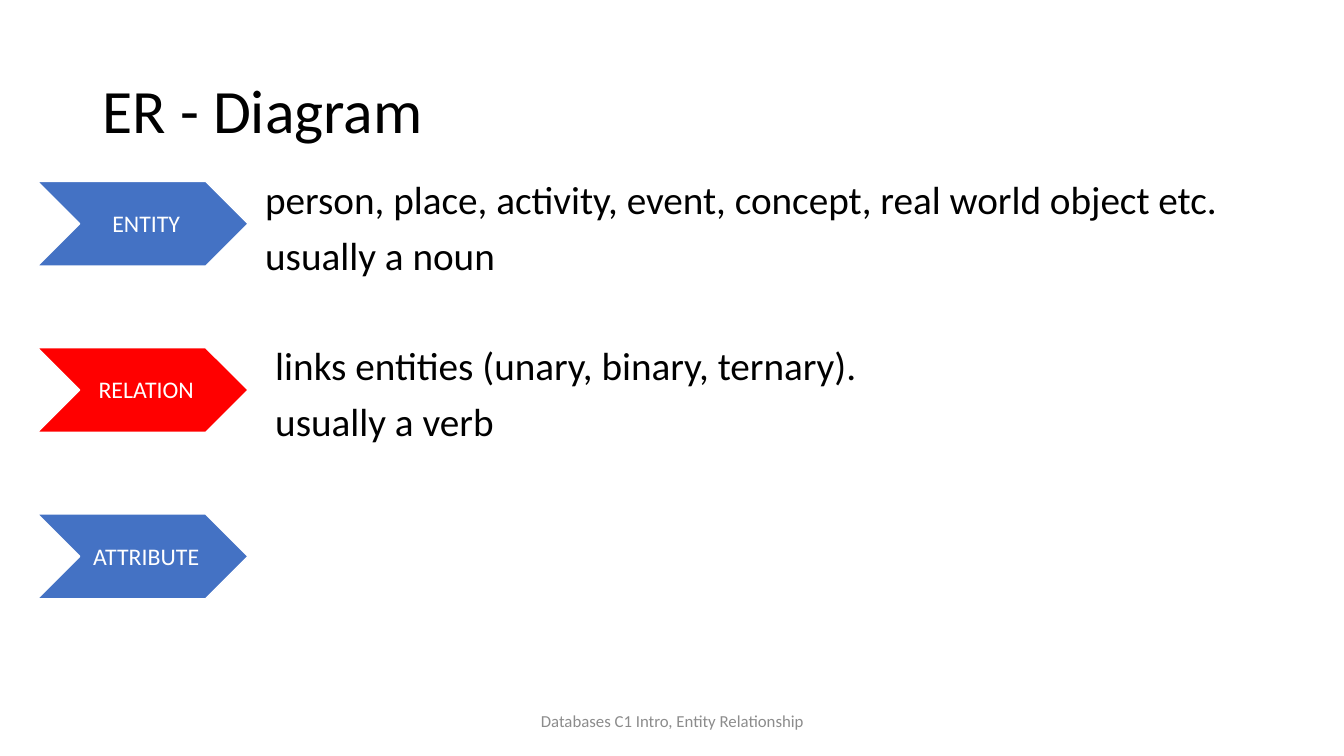
import pptx
import pptx.util
import pptx.dml.color
import pptx.enum.shapes
import pptx.enum.text

PX = 9144  # 100 px to the inch
FONT = "Calibri"
ALIGN = pptx.enum.text.PP_ALIGN
ANCHOR = pptx.enum.text.MSO_ANCHOR


def px(length):
    return pptx.util.Emu(length * PX)


def color(hex_string):
    return pptx.dml.color.RGBColor.from_string(hex_string)


def place(shape, box):
    shape.left, shape.top, shape.width, shape.height = map(px, box)


def write(shape, lines, size, ink="000000", align=ALIGN.LEFT,
          anchor=ANCHOR.MIDDLE, insets=(10, 5, 10, 5), spacing=0.9, before=0):
    frame = shape.text_frame
    frame.word_wrap = True
    frame.auto_size = pptx.enum.text.MSO_AUTO_SIZE.NONE
    frame.vertical_anchor = anchor
    (frame.margin_left, frame.margin_top,
     frame.margin_right, frame.margin_bottom) = map(px, insets)
    for number, line in enumerate(lines):
        paragraph = frame.add_paragraph() if number else frame.paragraphs[0]
        paragraph.alignment = align
        paragraph.line_spacing = spacing
        paragraph.space_before = pptx.util.Pt(before if number else 0)
        run = paragraph.add_run()
        run.text = line
        run.font.name = FONT
        run.font.size = pptx.util.Pt(size)
        run.font.color.rgb = color(ink)


def add_title(slide, box, text):
    title = slide.shapes.title
    place(title, box)
    write(title, [text], size=44)


def add_term(slide, box, term, fill):
    chevron = slide.shapes.add_shape(
        pptx.enum.shapes.MSO_SHAPE.CHEVRON, *map(px, box))
    chevron.shadow.inherit = False
    chevron.fill.solid()
    chevron.fill.fore_color.rgb = color(fill)
    chevron.line.color.rgb = color("FFFFFF")
    chevron.line.width = pptx.util.Pt(1)
    write(chevron, [term], size=17, ink="FFFFFF", align=ALIGN.CENTER,
          insets=(9, 4, 2, 2))


def add_definition(slide, box, lines):
    definition = slide.shapes.add_textbox(*map(px, box))
    write(definition, lines, size=28, anchor=ANCHOR.TOP,
          insets=(0, 5, 0, 5), before=10)


def add_footer(slide, box, text):
    footer = slide.shapes.add_textbox(*map(px, box))
    write(footer, [text], size=12, ink="8C8C8C", align=ALIGN.CENTER, spacing=1.0)


def add_concept(slide, box, term, fill, lines, indent):
    """A chevron with the term, and its definition to the right."""
    left, top, width, height = box
    add_term(slide, (left, top, 209, height), term, fill)
    if lines:
        add_definition(
            slide, (left + indent, top - 6, width - indent, 110), lines)


def main():
    deck = pptx.Presentation()
    deck.slide_width, deck.slide_height = px(1333), px(750)
    slide = deck.slides.add_slide(deck.slide_layouts[5])

    add_title(slide, (92, 40, 1150, 145), "ER - Diagram")

    # Concepts: term, colour, definition, indent of the definition
    concepts = [
        ("ENTITY", "4472C4",
         ["person, place, activity, event, concept, real world object etc.",
          "usually a noun"], 226),
        ("RELATION", "FF0000",
         ["links entities (unary, binary, ternary).", "usually a verb"], 236),
        ("ATTRIBUTE", "4472C4", [], 0),
    ]
    for row, (term, fill, lines, indent) in enumerate(concepts):
        add_concept(slide, (37, 180 + row * 165, 1205, 84),
                    term, fill, lines, indent)

    add_footer(slide, (442, 695, 450, 40),
               "Databases C1 Intro, Entity Relationship")
    deck.save("out.pptx")


if __name__ == "__main__":
    main()
